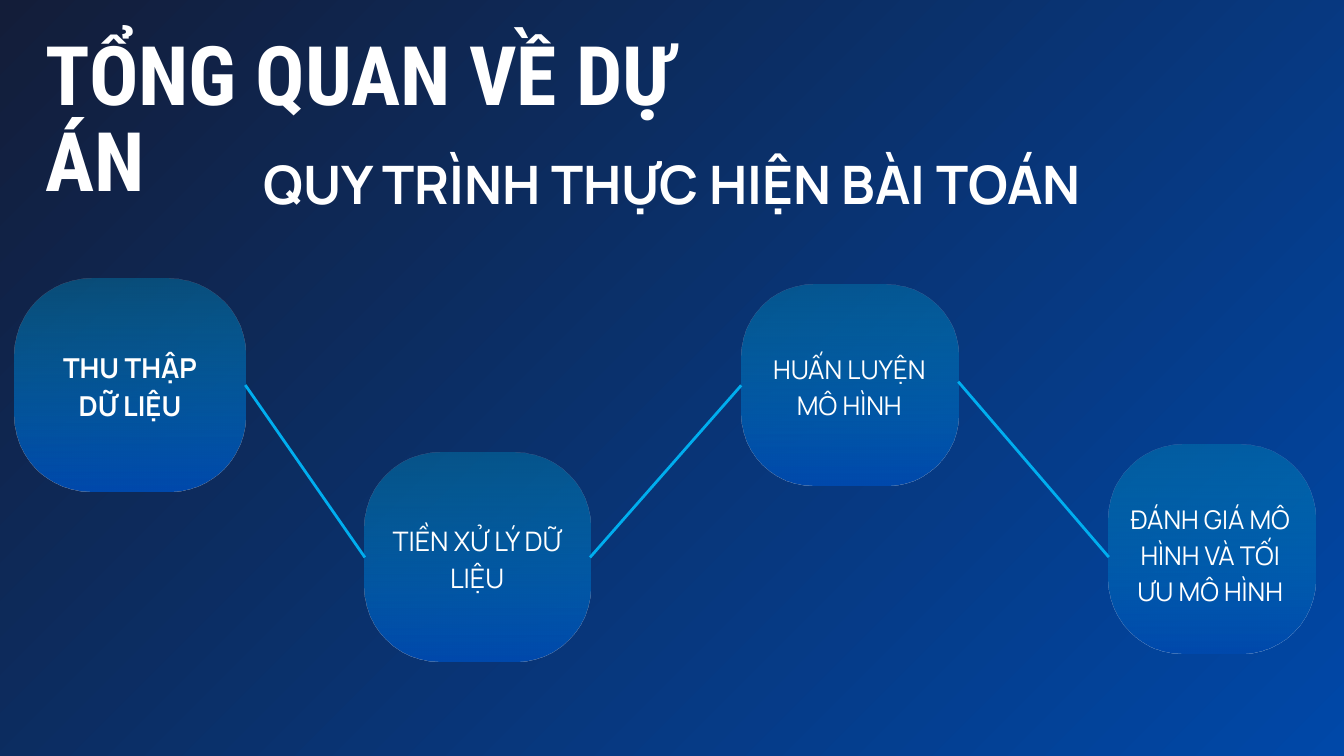
from lxml import etree
from pptx import Presentation
from pptx import util as u
from pptx.dml.color import RGBColor
from pptx.enum import shapes, text
from pptx.oxml.ns import qn

COLORS = {"night": "131D39", "blue": "0048A8", "teal": "0088BB",
          "royal": "004AAD", "link": "00AEEF", "white": "FFFFFF"}
TITLE = dict(words="TỔNG QUAN VỀ DỰ ÁN", area=(0.68, 0.53, 10.84, 1.33),
             size=88, spacing=92.4, font="Roboto Condensed", bold=True, centered=False)
SUBTITLE = dict(words="QUY TRÌNH THỰC HIỆN BÀI TOÁN", area=(3.81, 2.09, 12.38, 1.12),
                size=56.8, spacing=79.5, bold=True)
STEPS = [
    ((0.22, 4.14, 3.43, 3.18), dict(words="THU THẬP DỮ LIỆU", area=(0.63, 5.14, 2.61, 1.11),
                                    size=29.4, spacing=41.2, bold=True)),
    ((5.43, 6.74, 3.35, 3.11), dict(words="TIỀN XỬ LÝ DỮ LIỆU", area=(5.82, 7.72, 2.56, 1.08),
                                    size=28.8, spacing=40.3)),
    ((11.03, 4.24, 3.23, 2.99), dict(words="HUẤN LUYỆN MÔ HÌNH", area=(11.41, 5.18, 2.46, 1.04),
                                     size=27.7, spacing=38.8)),
    ((16.5, 6.62, 3.08, 3.1), dict(words="ĐÁNH GIÁ MÔ HÌNH VÀ TỐI ƯU MÔ HÌNH",
                                   area=(16.68, 7.42, 2.66, 1.57), size=27.6, spacing=38.7)),
]
LINKS = [((3.65, 5.73), (5.43, 8.29), True),
         ((8.78, 8.29), (11.06, 5.73), True),
         ((14.26, 5.68), (16.5, 8.29), False)]
CORNER = 0.36
LEFT, RIGHT = 1, 3


def rgb(name):
    return RGBColor.from_string(COLORS[name])


def inches(values):
    return [u.Inches(value) for value in values]


def set_gradient(fill, start, end):
    fill.gradient()
    for stop, name in zip(fill.gradient_stops, (start, end)):
        stop.color.rgb = rgb(name)


def paint_background(slide):
    set_gradient(slide.background.fill, "night", "blue")
    gradient = next(slide.element.iter(qn("a:gradFill")))
    gradient.remove(gradient.find(qn("a:lin")))
    circle = etree.SubElement(gradient, qn("a:path"), {"path": "circle"})
    etree.SubElement(circle, qn("a:fillToRect"), {"r": "100000", "b": "100000"})


def add_label(parent, words, area, size, spacing, font="Manrope", bold=False, centered=True):
    label = parent.add_textbox(*inches(area))
    frame = label.text_frame
    frame.word_wrap = True
    frame.auto_size = text.MSO_AUTO_SIZE.SHAPE_TO_FIT_TEXT
    frame.margin_left = frame.margin_right = frame.margin_top = frame.margin_bottom = 0
    paragraph = frame.paragraphs[0]
    paragraph.alignment = text.PP_ALIGN.CENTER if centered else text.PP_ALIGN.LEFT
    paragraph.line_spacing = u.Pt(spacing)
    run = paragraph.add_run()
    run.text = words
    run.font.name = font
    run.font.size = u.Pt(size)
    run.font.bold = bold
    run.font.color.rgb = rgb("white")


def add_step(slide, area, label):
    group = slide.shapes.add_group_shape()
    box = group.shapes.add_shape(shapes.MSO_SHAPE.ROUNDED_RECTANGLE, *inches(area))
    box.adjustments[0] = CORNER
    box.shadow.inherit = False
    box.line.fill.background()
    set_gradient(box.fill, "teal", "royal")
    box.fill.gradient_angle = 270
    first_color = next(box.element.spPr.iter(qn("a:srgbClr")))
    etree.SubElement(first_color, qn("a:alpha"), {"val": "40000"})
    add_label(group.shapes, **label)
    return box


def add_link(slide, start, end):
    link = slide.shapes.add_connector(shapes.MSO_CONNECTOR.STRAIGHT, *inches(start + end))
    link.line.color.rgb = rgb("link")
    link.line.width = u.Pt(3)
    etree.SubElement(link.element.spPr, qn("a:effectLst"))
    return link


def main():
    deck = Presentation()
    deck.slide_width, deck.slide_height = inches((20, 11.25))
    slide = deck.slides.add_slide(deck.slide_layouts[6])
    paint_background(slide)
    add_label(slide.shapes, **TITLE)
    add_label(slide.shapes, **SUBTITLE)
    boxes = [add_step(slide, area, label) for area, label in STEPS]
    for (start, end, joined), source, target in zip(LINKS, boxes, boxes[1:]):
        link = add_link(slide, start, end)
        if joined:
            link.begin_connect(source, RIGHT)
            link.end_connect(target, LEFT)
    deck.save("out.pptx")


if __name__ == "__main__":
    main()
